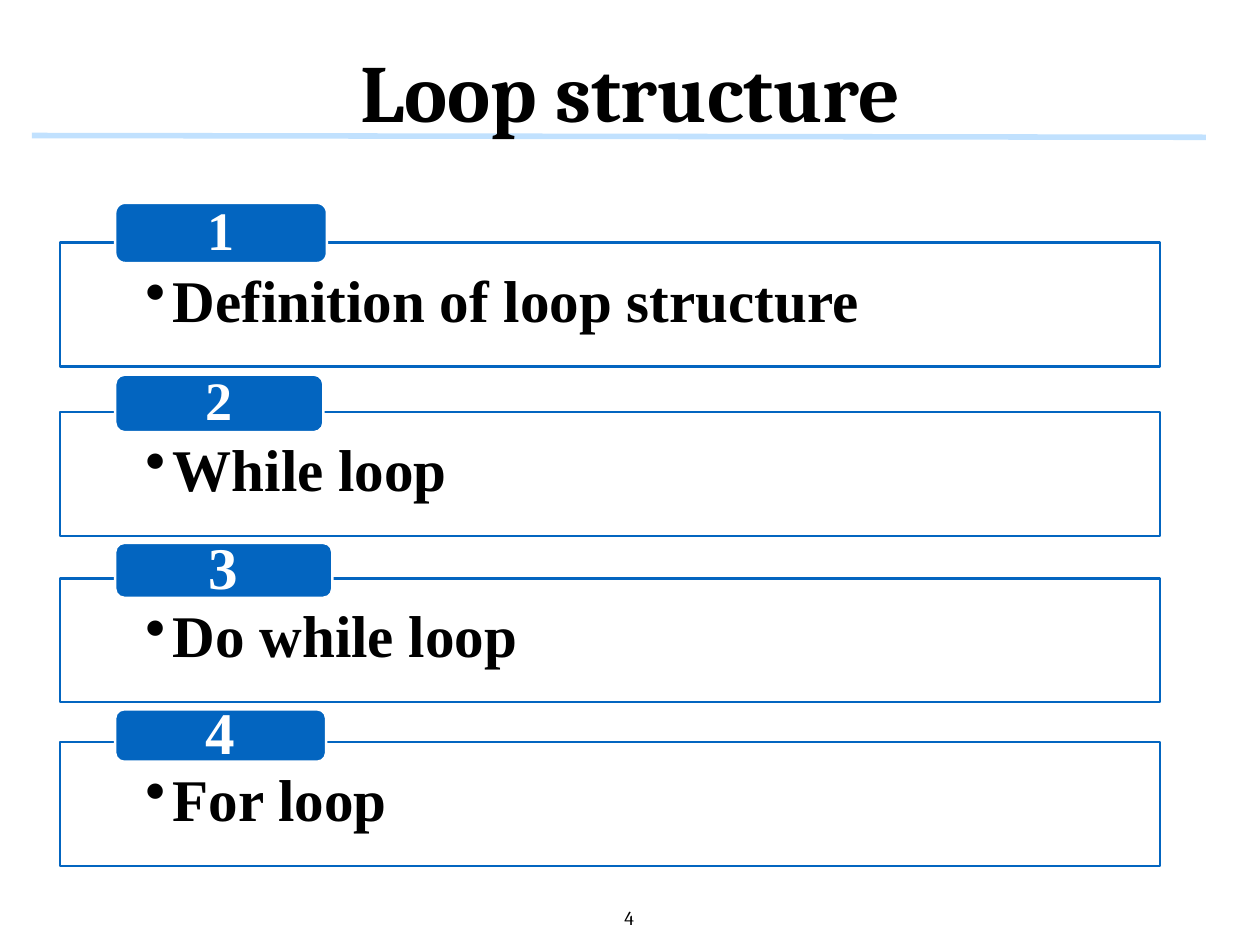
from pptx import Presentation
from pptx.dml.color import RGBColor
from pptx.enum.shapes import MSO_CONNECTOR as Connector, MSO_SHAPE as Shape
from pptx.enum.text import MSO_ANCHOR as Anchor, PP_ALIGN as Align
from pptx.oxml.ns import qn
from pptx.util import Inches, Pt
from lxml.etree import SubElement

BLACK = RGBColor(0x00, 0x00, 0x00)
WHITE = RGBColor(0xFF, 0xFF, 0xFF)
BLUE = RGBColor(0x03, 0x65, 0xC0)
PALE_BLUE = RGBColor(0xC1, 0xE1, 0xFE)

TOPICS = [
    ("Definition of loop structure", 2.74, 2.29, 2.39, 0.68, 44),
    ("While loop", 4.65, 4.23, 2.35, 0.65, 44),
    ("Do while loop", 6.53, 6.13, 2.45, 0.62, 48),
    ("For loop", 8.38, 8.01, 2.38, 0.59, 48),
]


def write(shape, text, font, size, color, bold, align, anchor, margins):
    frame = shape.text_frame
    frame.text = text
    frame.word_wrap = True
    frame.vertical_anchor = anchor
    (frame.margin_left, frame.margin_top,
     frame.margin_right, frame.margin_bottom) = [Inches(margin) for margin in margins]
    para = frame.paragraphs[0]
    para.alignment = align
    span = para.runs[0].font
    span.name = font
    span.size = Pt(size)
    span.bold = bold
    span.color.rgb = color
    return para


def add_panel(kind, left, top, width, height, fill, line):
    panel = page.shapes.add_shape(
        kind, Inches(left), Inches(top), Inches(width), Inches(height))
    panel.shadow.inherit = False
    panel.fill.solid()
    panel.fill.fore_color.rgb = fill
    panel.line.color.rgb = line
    panel.line.width = Pt(2)
    return panel


deck = Presentation()
deck.slide_width = Inches(14.22)
deck.slide_height = Inches(10.67)
page = deck.slides.add_slide(deck.slide_layouts[5])

rule = page.shapes.add_connector(
    Connector.STRAIGHT, Inches(0.36), Inches(1.53), Inches(13.61), Inches(1.55))
rule.line.color.rgb = PALE_BLUE
rule.line.width = Pt(4.5)
SubElement(rule._element.spPr, qn("a:effectLst"))

title = page.shapes.title
title.left, title.top = Inches(0.01), Inches(0.06)
title.width, title.height = Inches(14.21), Inches(1.67)
para = write(title, "Loop structure", "Cambria", 66, BLACK, True,
             Align.CENTER, Anchor.MIDDLE, (0, 0, 0, 0))
para.line_spacing = Pt(96)
page.shapes._spTree.remove(rule._element)
page.shapes._spTree.insert(2, rule._element)

number = page.shapes.add_textbox(
    Inches(6.94), Inches(10.19), Inches(0.32), Inches(0.35))
para = write(number, "4", "Cambria", 16, BLACK, False,
             Align.CENTER, Anchor.MIDDLE, (0.04, 0.04, 0.04, 0.04))
para.line_spacing = Pt(19)

for index, (topic, card_top, tab_top, tab_width, tab_height, size) in enumerate(TOPICS, 1):
    card = add_panel(Shape.RECTANGLE, 0.68, card_top, 12.41, 1.4, WHITE, BLUE)
    para = write(card, topic, "Times New Roman", 48, BLACK, True,
                 Align.LEFT, Anchor.TOP, (0.96, 0.32, 0.96, 0.37))
    para.line_spacing = 0.9
    props = para._p.get_or_add_pPr()
    props.set("marL", str(Inches(0.31)))
    props.set("indent", str(-Inches(0.31)))
    SubElement(props, qn("a:buChar"), char="•")

    tab = add_panel(Shape.ROUNDED_RECTANGLE, 1.3, tab_top, tab_width, tab_height, BLUE, WHITE)
    para = write(tab, str(index), "Times New Roman", size, WHITE, True,
                 Align.CENTER, Anchor.MIDDLE, (0.33, 0, 0.33, 0))
    para.line_spacing = 0.9

deck.save("out.pptx")
